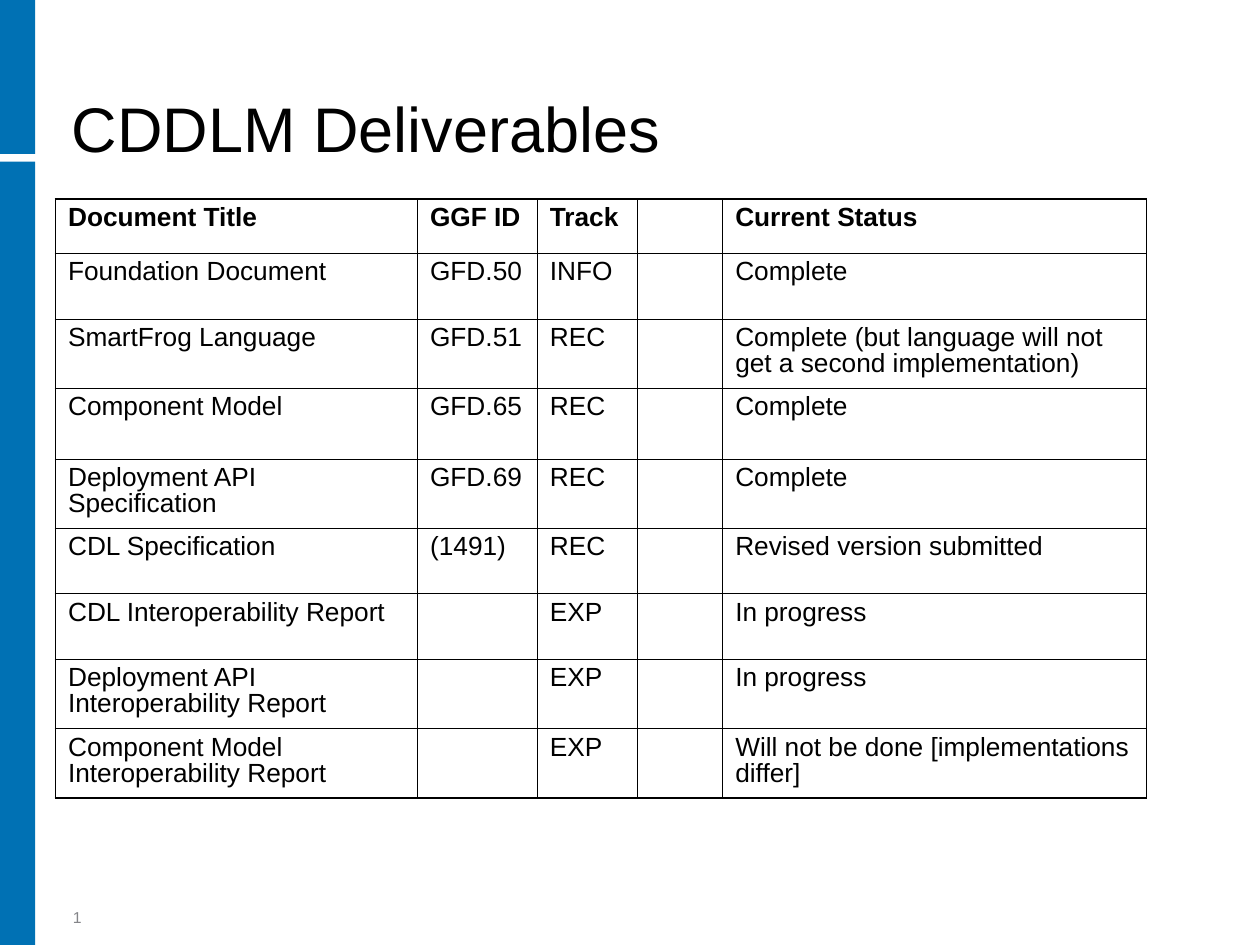
from lxml import etree
from pptx import Presentation, util as u
from pptx.dml.color import RGBColor
from pptx.enum import shapes, text
from pptx.oxml import ns

COLORS = {"bar": "0071B4", "ink": "000000", "number": "848589"}
FONT = "Arial"
THIN, THICK = 0.45, 1.08  # table rules, in points

COLUMNS = [287, 95, 79, 68, 336]  # relative widths
ROWS = [43, 52, 55, 56, 55, 52, 52, 55, 55]  # relative heights
DELIVERABLES = [
    ("Document Title", "GGF ID", "Track", "", "Current Status"),
    ("Foundation Document", "GFD.50", "INFO", "", "Complete"),
    ("SmartFrog Language", "GFD.51", "REC", "",
     "Complete (but language will not get a second implementation)"),
    ("Component Model", "GFD.65", "REC", "", "Complete"),
    ("Deployment API Specification", "GFD.69", "REC", "", "Complete"),
    ("CDL Specification", "(1491)", "REC", "", "Revised version submitted"),
    ("CDL Interoperability Report", "", "EXP", "", "In progress"),
    ("Deployment API Interoperability Report", "", "EXP", "", "In progress"),
    ("Component Model Interoperability Report", "", "EXP", "",
     "Will not be done [implementations differ]"),
]


def rgb(name):
    return RGBColor.from_string(COLORS[name])


def share_box(prs, left, top, width, height):
    """Turn percentages of the slide into a box of lengths."""
    w, h = prs.slide_width, prs.slide_height
    return [int(size * pct / 100)
            for size, pct in ((w, left), (h, top), (w, width), (h, height))]


def style(p, size, color="ink", bold=False):
    for r in p.runs:
        r.font.name, r.font.size, r.font.bold = FONT, u.Pt(size), bold
        r.font.color.rgb = rgb(color)


def add_side_bar(s, box):
    """Vertical bar with a small gap near the top."""
    left, top, width, height = box
    for start, end in ((0, 0.163), (0.171, 1)):
        sp = s.shapes.add_shape(shapes.MSO_SHAPE.RECTANGLE, left, top + int(height * start),
                                width, int(height * (end - start)))
        sp.shadow.inherit = False
        sp.fill.solid()
        sp.fill.fore_color.rgb = rgb("bar")
        sp.line.fill.background()


def add_title(s, box, words):
    sp = s.shapes.title
    sp.left, sp.top, sp.width, sp.height = box
    tf = sp.text_frame
    tf.text = words
    tf.auto_size = text.MSO_AUTO_SIZE.NONE
    tf.vertical_anchor = text.MSO_ANCHOR.BOTTOM
    p = tf.paragraphs[0]
    p.alignment = text.PP_ALIGN.LEFT
    p.line_spacing = 0.9
    p.space_before = u.Pt(0)
    style(p, 36)


def set_borders(cell, **widths):
    tc_pr = cell._tc.get_or_add_tcPr()
    for side, points in widths.items():
        ln = etree.SubElement(tc_pr, ns.qn("a:ln" + side), w=str(u.Pt(points)))
        fill = etree.SubElement(ln, ns.qn("a:solidFill"))
        etree.SubElement(fill, ns.qn("a:srgbClr"), val=COLORS["ink"])


def add_deliverables(s, box):
    left, top, width, height = box
    last_row, last_col = len(ROWS) - 1, len(COLUMNS) - 1
    table = s.shapes.add_table(len(ROWS), len(COLUMNS), *box).table
    table.first_row = table.horz_banding = False
    for column, part in zip(table.columns, COLUMNS):
        column.width = int(width * part / sum(COLUMNS))
    for row, part in zip(table.rows, ROWS):
        row.height = int(height * part / sum(ROWS))
    for i, entries in enumerate(DELIVERABLES):
        for j, entry in enumerate(entries):
            cell = table.cell(i, j)
            # Thick rules outside, thin rules inside
            set_borders(cell, L=THIN if j else THICK, R=THICK if j == last_col else THIN,
                        T=THIN if i else THICK, B=THICK if i == last_row else THIN)
            cell.fill.background()
            cell.text_frame.text = entry
            p = cell.text_frame.paragraphs[0]
            p.line_spacing = 0.9
            p.space_after = u.Pt(1.9)
            style(p, 15, bold=i == 0)


def add_page_number(s, box, number):
    tf = s.shapes.add_textbox(*box).text_frame
    tf.word_wrap = True
    tf.vertical_anchor = text.MSO_ANCHOR.BOTTOM
    tf.text = number
    style(tf.paragraphs[0], 9, "number")


def main():
    prs = Presentation()
    prs.slide_width, prs.slide_height = u.Inches(10), u.Inches(7.5)
    s = prs.slides.add_slide(prs.slide_layouts[5])  # title only
    add_side_bar(s, share_box(prs, 0, 0, 2.8, 100))
    add_title(s, share_box(prs, 4.7, 1.6, 90.2, 16.67), "CDDLM Deliverables")
    add_deliverables(s, share_box(prs, 4.4, 21.07, 86.6, 63.4))
    add_page_number(s, share_box(prs, 4.8, 95.47, 4.2, 3.2), "1")
    prs.save("out.pptx")


if __name__ == "__main__":
    main()
